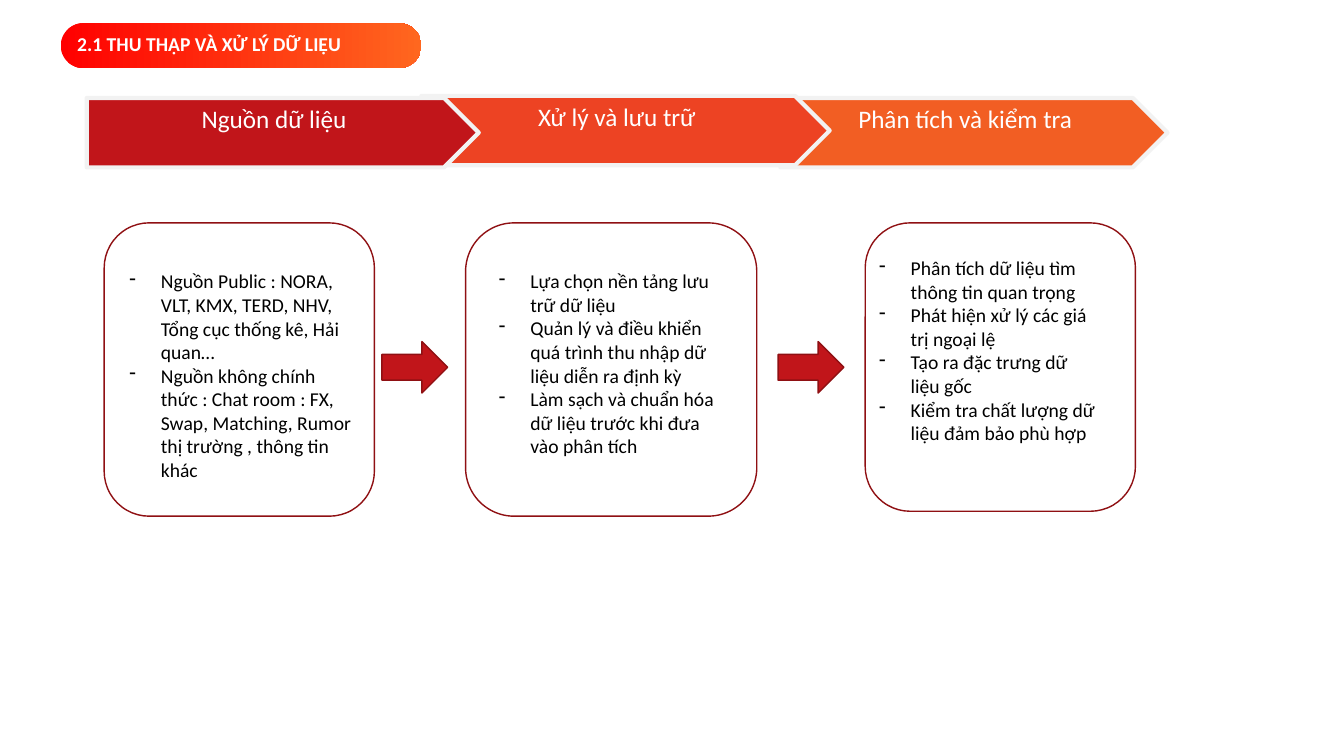
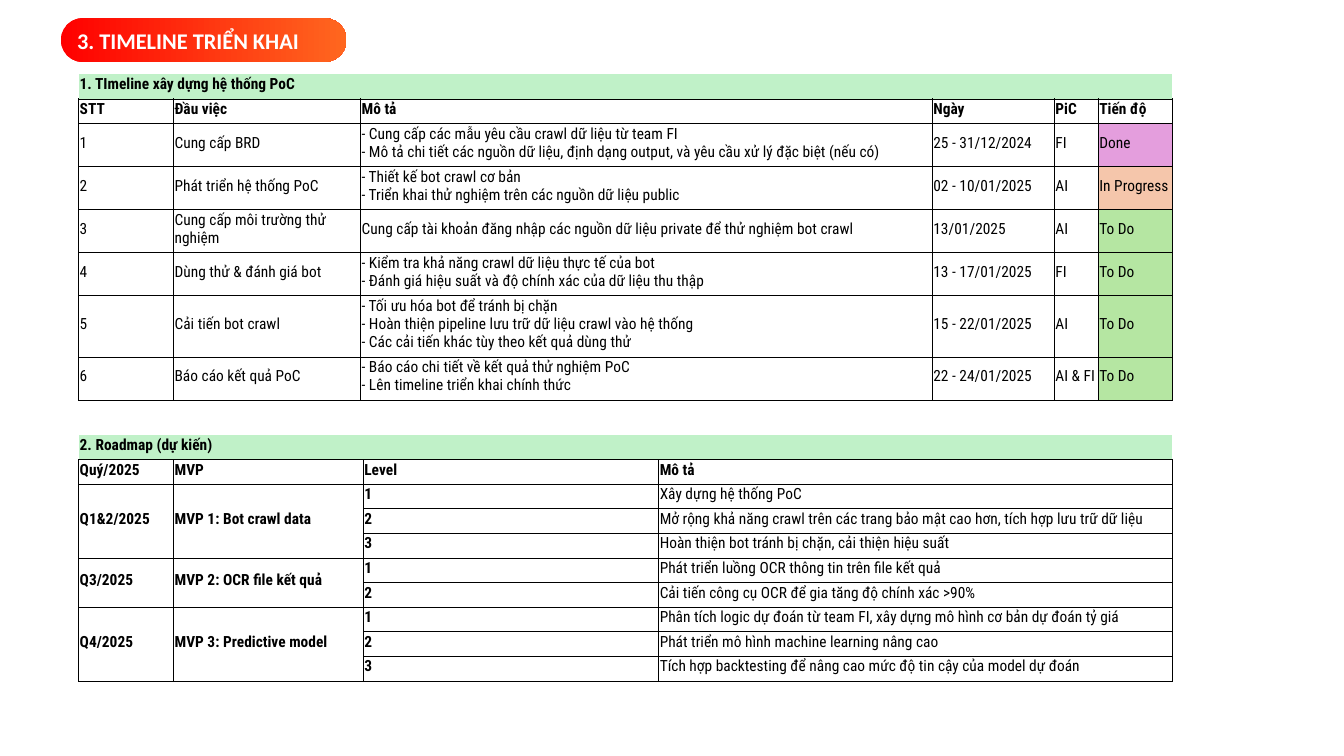
from lxml.etree import SubElement
from pptx import Presentation
from pptx.dml.color import RGBColor
from pptx.enum.shapes import MSO_SHAPE as Shape
from pptx.enum.text import MSO_ANCHOR as Anchor, PP_ALIGN as Align
from pptx.oxml.ns import qn
from pptx.util import Pt

RED, DARK_RED, WHITE, BLACK = "C1151A", "8F1013", "FFFFFF", "000000"
PILL_START, PILL_END = "FF0000", "FF671F"
SECTION_GREEN = "C0F1C8"
STATUS_COLORS = {"Done": "E49EDD", "In Progress": "F5C6AB", "To Do": "B5E6A2"}
BODY_FONT, TABLE_FONT = "Calibri", "Roboto Condensed"
BULLET_INDENT = 22.5
LINE_HEIGHT = 17.6

STAGES = [
    ("Nguồn dữ liệu", RED, (62, 70, 280, 49.6)),
    ("Xử lý và lưu trữ", "ED4323", (301, 68.5, 291.6, 49.6)),
    ("Phân tích và kiểm tra", "F25E23", (557.5, 70, 276.4, 49.6)),
]
CARDS = [
    ((74.4, 159.2, 193, 209.5), (8.6, 23.8, 4.4), [
        "Nguồn Public : NORA, VLT, KMX, TERD, NHV, Tổng cục thống kê, Hải quan…",
        "Nguồn không chính thức : Chat room : FX, Swap, Matching, Rumor thị trường , thông tin khác",
    ]),
    ((332.6, 159.2, 208, 209.5), (13.6, 23, 12.8), [
        "Lựa chọn nền tảng lưu trữ dữ liệu",
        "Quản lý và điều khiển quá trình thu nhập dữ liệu diễn ra định kỳ",
        "Làm sạch và chuẩn hóa dữ liệu trước khi đưa vào phân tích",
    ]),
    ((618, 159.2, 193, 206), (0.6, 14.4, 17.4), [
        "Phân tích dữ liệu tìm thông tin quan trọng",
        "Phát hiện xử lý các giá trị ngoại lệ",
        "Tạo ra đặc trưng dữ liệu gốc",
        "Kiểm tra chất lượng dữ liệu đảm bảo phù hợp",
    ]),
]
ARROWS = [(272.8, 244, 47, 36.8), (555.8, 244, 47, 36.8)]

TIMELINE = [
    ("1. TImeline xây dựng hệ thống PoC",),
    ("STT", "Đầu việc", "Mô tả", "Ngày", "PiC", "Tiến độ"),
    ("1", "Cung cấp BRD",
     "- Cung cấp các mẫu yêu cầu crawl dữ liệu từ team FI\n"
     "- Mô tả chi tiết các nguồn dữ liệu, định dạng output, và yêu cầu xử lý đặc biệt (nếu có)",
     "25 - 31/12/2024", "FI", "Done"),
    ("2", "Phát triển hệ thống PoC",
     "- Thiết kế bot crawl cơ bản\n- Triển khai thử nghiệm trên các nguồn dữ liệu public",
     "02 - 10/01/2025", "AI", "In Progress"),
    ("3", "Cung cấp môi trường thử nghiệm",
     "Cung cấp tài khoản đăng nhập các nguồn dữ liệu private để thử nghiệm bot crawl",
     "13/01/2025", "AI", "To Do"),
    ("4", "Dùng thử & đánh giá bot",
     "- Kiểm tra khả năng crawl dữ liệu thực tế của bot\n"
     "- Đánh giá hiệu suất và độ chính xác của dữ liệu thu thập",
     "13 - 17/01/2025", "FI", "To Do"),
    ("5", "Cải tiến bot crawl",
     "- Tối ưu hóa bot để tránh bị chặn\n"
     "- Hoàn thiện pipeline lưu trữ dữ liệu crawl vào hệ thống\n"
     "- Các cải tiến khác tùy theo kết quả dùng thử",
     "15 - 22/01/2025", "AI", "To Do"),
    ("6", "Báo cáo kết quả PoC",
     "- Báo cáo chi tiết về kết quả thử nghiệm PoC\n- Lên timeline triển khai chính thức",
     "22 - 24/01/2025", "AI & FI", "To Do"),
]
TIMELINE_COLUMNS = [67.8, 133.6, 408.4, 87.2, 31.4, 52.8]
TIMELINE_ROWS = [17.6, 17.6] + [30.7] * 4 + [44.2, 30.7]

MILESTONES = [
    ("Q1&2/2025", "MVP 1: Bot crawl data", [
        "Xây dựng hệ thống PoC",
        "Mở rộng khả năng crawl trên các trang bảo mật cao hơn, tích hợp lưu trữ dữ liệu",
        "Hoàn thiện bot tránh bị chặn, cải thiện hiệu suất"]),
    ("Q3/2025", "MVP 2: OCR file kết quả", [
        "Phát triển luồng OCR thông tin trên file kết quả",
        "Cải tiến công cụ OCR để gia tăng độ chính xác >90%"]),
    ("Q4/2025", "MVP 3: Predictive model", [
        "Phân tích logic dự đoán từ team FI, xây dựng mô hình cơ bản dự đoán tỷ giá",
        "Phát triển mô hình machine learning nâng cao",
        "Tích hợp backtesting để nâng cao mức độ tin cậy của model dự đoán"]),
]
ROADMAP_COLUMNS = [67.8, 135.6, 211, 366.8]


def rgb(value):
    """Turn a hex string into a colour."""
    return RGBColor.from_string(value)


def write(frame, text, size=14, color=BLACK, font=BODY_FONT, bold=False, align=Align.LEFT,
          anchor=Anchor.TOP, insets=(7.2, 3.6, 7.2, 3.6), bullet=None, wrap=True, spacing=None):
    """Write each line of text as one paragraph of the frame."""
    frame.word_wrap = wrap
    frame.vertical_anchor = anchor
    frame.margin_left, frame.margin_top, frame.margin_right, frame.margin_bottom = map(Pt, insets)
    for index, line in enumerate(text.split("\n")):
        paragraph = frame.add_paragraph() if index else frame.paragraphs[0]
        paragraph.alignment = align
        if spacing:
            paragraph.line_spacing = spacing
        run = paragraph.add_run()
        run.text = line
        run.font.size, run.font.name, run.font.bold = Pt(size), font, bold
        run.font.color.rgb = rgb(color)
        if bullet:
            properties = paragraph._p.get_or_add_pPr()
            properties.set("marL", str(Pt(BULLET_INDENT)))
            properties.set("indent", str(-Pt(BULLET_INDENT)))
            SubElement(properties, qn("a:buChar")).set("char", bullet)


def add_shape(slide, kind, box, fill=None, line=None, width=1):
    """Add a shadowless preset shape with an optional fill and outline."""
    shape = slide.shapes.add_shape(kind, *map(Pt, box))
    shape.shadow.inherit = False
    if fill:
        shape.fill.solid()
        shape.fill.fore_color.rgb = rgb(fill)
    else:
        shape.fill.background()
    if line:
        shape.line.color.rgb = rgb(line)
        shape.line.width = Pt(width)
    else:
        shape.line.fill.background()
    return shape


def add_title(slide, box, text, size, spacing=None):
    """Add the gradient pill that heads a slide."""
    pill = add_shape(slide, Shape.ROUNDED_RECTANGLE, box)
    pill.adjustments[0] = 0.5
    pill.fill.gradient()
    pill.fill.gradient_angle = 0
    for stop, color in zip(pill.fill.gradient_stops, (PILL_START, PILL_END)):
        stop.color.rgb = rgb(color)
    write(pill.text_frame, text, size=size, color=WHITE, bold=True, anchor=Anchor.MIDDLE,
          spacing=spacing)


def add_stage(slide, label, color, box):
    """Add one pentagon of the process band."""
    stage = add_shape(slide, Shape.PENTAGON, box, color, "F2F2F2", 3)
    write(stage.text_frame, label, size=18, color=WHITE, align=Align.CENTER, wrap=False)


def add_card(slide, box, padding, points):
    """Add a rounded card with dashed points."""
    left, top, right = padding
    card = add_shape(slide, Shape.ROUNDED_RECTANGLE, box, line=DARK_RED)
    write(card.text_frame, "\n".join(points), bullet="-", insets=(left, top, right, 0))


def set_borders(cell, visible):
    """Draw thin black lines on the visible sides and none on the others."""
    properties = cell._tc.get_or_add_tcPr()
    for index, side in enumerate("LRTB"):
        border = properties.makeelement(qn(f"a:ln{side}"), {"w": str(Pt(0.5))})
        properties.insert(index, border)
        if side in visible:
            SubElement(SubElement(border, qn("a:solidFill")), qn("a:srgbClr")).set("val", BLACK)
        else:
            SubElement(border, qn("a:noFill"))


def add_grid(slide, left, top, columns, heights, rows, bold_columns=0):
    """Add a table with a green section row, a bold header row and ruled body rows."""
    frame = slide.shapes.add_table(len(rows), len(columns), Pt(left), Pt(top),
                                   Pt(sum(columns)), Pt(sum(heights)))
    grid = frame.table
    grid.first_row = grid.horz_banding = False
    for column, width in zip(grid.columns, columns):
        column.width = Pt(width)
    for row, height in zip(grid.rows, heights):
        row.height = Pt(height)
    for r, texts in enumerate(rows):
        for c in range(len(columns)):
            cell = grid.cell(r, c)
            text = texts[c] if c < len(texts) else ""
            fill = SECTION_GREEN if r == 0 else STATUS_COLORS.get(text)
            if fill:
                cell.fill.solid()
                cell.fill.fore_color.rgb = rgb(fill)
            else:
                cell.fill.background()
            set_borders(cell, "LRTB" if r else "B")
            cell.margin_left = cell.margin_top = cell.margin_right = Pt(0.72)
            cell.margin_bottom = Pt(3.6)
            cell.vertical_anchor = Anchor.MIDDLE
            if text:
                write(cell.text_frame, text, size=11, font=TABLE_FONT,
                      bold=r < 2 or c < bold_columns, anchor=None, insets=(0, 0, 0, 0), wrap=None)
    grid.cell(0, 0).merge(grid.cell(0, len(columns) - 1))
    return grid


def add_roadmap(slide, left, top):
    """Add the roadmap table, merging the quarter and MVP cells of each milestone."""
    rows = [("2. Roadmap (dự kiến)",), ("Quý/2025", "MVP", "Level", "Mô tả")]
    spans = []
    for quarter, product, levels in MILESTONES:
        spans.append((len(rows), len(rows) + len(levels) - 1))
        for level, description in enumerate(levels, 1):
            heads = (quarter, product) if level == 1 else ("", "")
            rows.append((*heads, str(level), description))
    grid = add_grid(slide, left, top, ROADMAP_COLUMNS, [LINE_HEIGHT] * len(rows), rows, 3)
    for first, last in spans:
        for column in range(2):
            grid.cell(first, column).merge(grid.cell(last, column))


def build_process(slide):
    """Build the data collection and processing slide."""
    add_title(slide, (43.4, 16.6, 257.6, 32), "2.1 THU THẬP VÀ XỬ LÝ DỮ LIỆU", 14, 0.9)
    for card in CARDS:
        add_card(slide, *card)
    for box in ARROWS:
        add_shape(slide, Shape.RIGHT_ARROW, box, RED, DARK_RED)
    for stage in reversed(STAGES):
        add_stage(slide, *stage)


def build_timeline(slide):
    """Build the timeline and roadmap slide."""
    add_title(slide, (43.4, 13, 204.2, 31.2), "3. TIMELINE TRIỂN KHAI", 16)
    add_grid(slide, 56.2, 53, TIMELINE_COLUMNS, TIMELINE_ROWS, TIMELINE)
    add_roadmap(slide, 56.2, 310.6)


def main():
    """Create the deck and save it."""
    deck = Presentation()
    deck.slide_width, deck.slide_height = Pt(960), Pt(540)
    for build in (build_process, build_timeline):
        build(deck.slides.add_slide(deck.slide_layouts[6]))
    deck.save("out.pptx")


if __name__ == "__main__":
    main()
